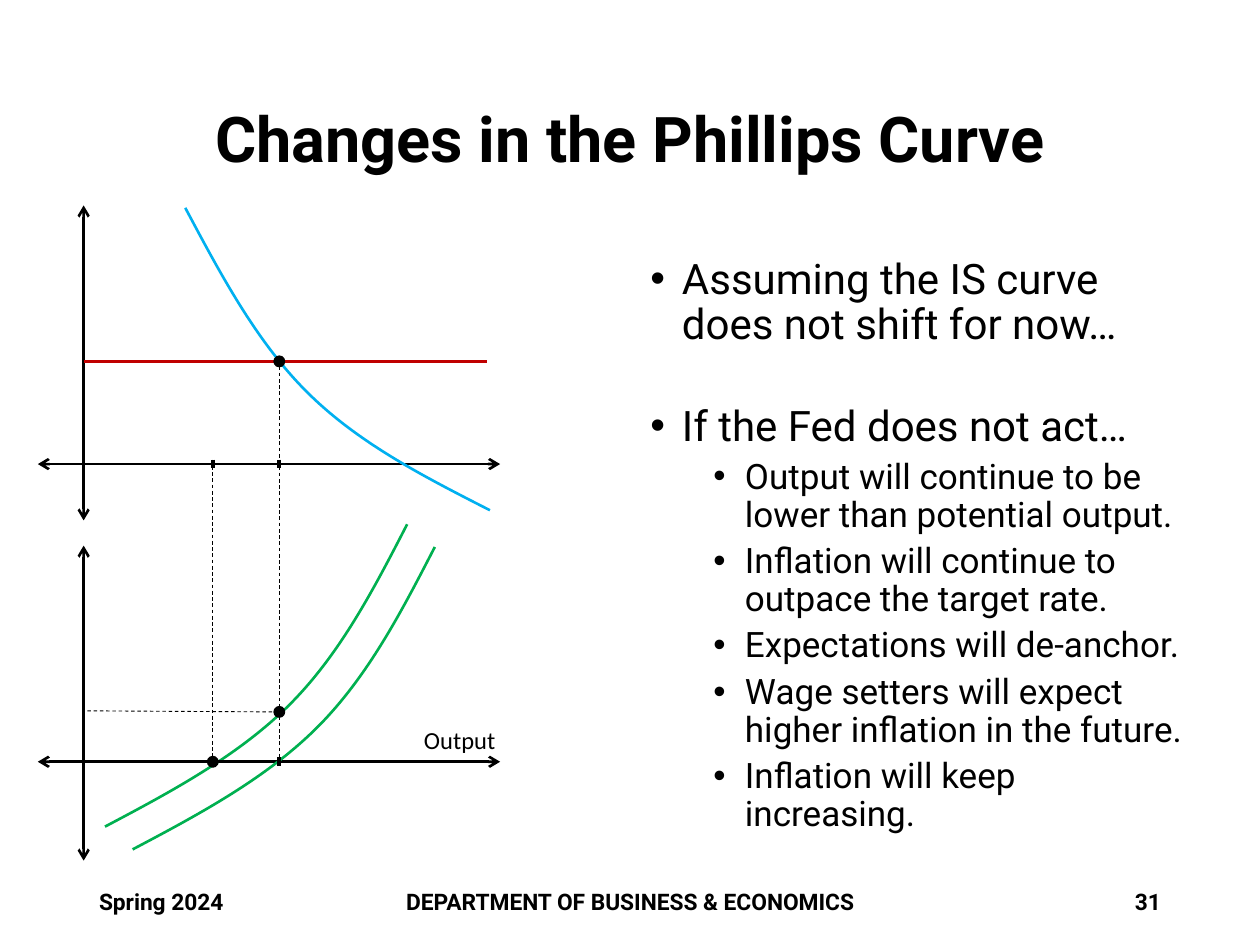
import pptx
import pptx.dml.color
import pptx.enum.dml
import pptx.enum.shapes
import pptx.enum.text
import pptx.oxml.ns
import pptx.util
from lxml import etree

Pt = pptx.util.Pt
RGBColor = pptx.dml.color.RGBColor
Align = pptx.enum.text.PP_ALIGN
Anchor = pptx.enum.text.MSO_ANCHOR
AutoSize = pptx.enum.text.MSO_AUTO_SIZE
Shape = pptx.enum.shapes.MSO_SHAPE
qn = pptx.oxml.ns.qn

BLACK = RGBColor(0x00, 0x00, 0x00)
RED = RGBColor(0xC0, 0x00, 0x00)
BLUE = RGBColor(0x00, 0xB0, 0xF0)
GREEN = RGBColor(0x00, 0xB0, 0x50)

AXIS_X = 47.8
AXIS_LEFT, AXIS_RIGHT = 21.6, 285.8
UPPER_AXIS_Y, LOWER_AXIS_Y = 265.2, 435.3
AXIS_TOPS, AXIS_HEIGHT = (117.4, 311.8), 180
RATE_Y = 206.5
INFLATION_Y = 406.8
LOW_OUTPUT_X, POTENTIAL_OUTPUT_X = 121.6, 159.6
DOT_SIZE = 5.8
TICK_HALF = 2.5

# Each curve is a start point followed by three points per cubic segment.
IS_CURVE = [(105.9, 118.8), (126.5, 157.5), (147, 196), (176.2, 224.8),
            (205.4, 253.6), (242.7, 272.6), (280, 291.6)]
PHILLIPS_CURVE = [(75.8, 485.4), (114.5, 465), (152.5, 444.5), (181.5, 415.5),
                  (210.3, 386.6), (229.5, 349.5), (248.5, 312.6)]
PHILLIPS_SHIFT = (-15.8, -13)

POINTS = [
    (0, 0, "Assuming the IS curve does not shift for now…"),
    (0, 32, "If the Fed does not act…"),
    (1, 5, "Output will continue to be lower than potential output."),
    (1, 5, "Inflation will continue to outpace the target rate."),
    (1, 5, "Expectations will de-anchor."),
    (1, 5, "Wage setters will expect higher inflation in the future."),
    (1, 5, "Inflation will keep increasing."),
]
FOOTERS = [
    ("Spring 2024", 49.5, 162, Align.LEFT),
    ("DEPARTMENT OF BUSINESS & ECONOMICS", 133.2, 453.6, Align.CENTER),
    ("31", 508.5, 162, Align.RIGHT),
]


def set_font(paragraph, size, bold=False, name="Roboto"):
    font = paragraph.font
    font.name, font.size, font.bold = name, Pt(size), bold
    font.color.rgb = BLACK


def place(shape, left, top, width, height):
    shape.left, shape.top = Pt(left), Pt(top)
    shape.width, shape.height = Pt(width), Pt(height)


def fill_title(title):
    place(title, 49.5, 28.8, 621, 104.4)
    frame = title.text_frame
    frame.auto_size = AutoSize.NONE
    frame.vertical_anchor = Anchor.MIDDLE
    paragraph = frame.paragraphs[0]
    paragraph.text = "Changes in the Phillips Curve"
    paragraph.alignment = Align.CENTER
    paragraph.line_spacing = 0.9
    set_font(paragraph, 36, bold=True)


def add_bullet(paragraph, left):
    properties = paragraph._p.get_or_add_pPr()
    properties.set("marL", str(Pt(left)))
    properties.set("indent", str(Pt(-18)))
    etree.SubElement(properties, qn("a:buFont")).set("typeface", "Arial")
    etree.SubElement(properties, qn("a:buChar")).set("char", "•")


def fill_body(body):
    place(body, 364.5, 144, 319.5, 342.7)
    frame = body.text_frame
    frame.auto_size = AutoSize.NONE
    frame.vertical_anchor = Anchor.TOP
    for index, (level, space_before, text) in enumerate(POINTS):
        paragraph = frame.add_paragraph() if index else frame.paragraphs[0]
        paragraph.text = text
        paragraph.level = level
        add_bullet(paragraph, 18 + 36 * level)
        paragraph.line_spacing = 0.9
        paragraph.space_before = Pt(space_before)
        set_font(paragraph, 24 - 4 * level)


def add_footer(slide, text, left, width, alignment):
    footer = slide.shapes.add_textbox(Pt(left), Pt(500.5), Pt(width), Pt(28.8))
    frame = footer.text_frame
    frame.word_wrap = True
    frame.vertical_anchor = Anchor.MIDDLE
    paragraph = frame.paragraphs[0]
    paragraph.text = text
    paragraph.alignment = alignment
    set_font(paragraph, 13, bold=True)


def add_axis_label(slide):
    label = slide.shapes.add_textbox(Pt(235.2), Pt(411), Pt(56), Pt(24.3))
    frame = label.text_frame
    frame.word_wrap = False
    frame.auto_size = AutoSize.SHAPE_TO_FIT_TEXT
    paragraph = frame.paragraphs[0]
    paragraph.text = "Output"
    set_font(paragraph, 14, name="Calibri")


def add_line(slide, start, end, color=BLACK, width=1.5):
    line = slide.shapes.add_connector(
        pptx.enum.shapes.MSO_CONNECTOR.STRAIGHT, *map(Pt, (*start, *end)))
    line.line.color.rgb = color
    line.line.width = Pt(width)
    etree.SubElement(line._element.spPr, qn("a:effectLst"))
    return line


def add_axis(slide, start, end):
    outline = add_line(slide, start, end).line._get_or_add_ln()
    for tag in ("a:headEnd", "a:tailEnd"):
        etree.SubElement(outline, qn(tag)).set("type", "arrow")


def add_guide(slide, start, end):
    guide = add_line(slide, start, end, width=0.5)
    guide.line.dash_style = pptx.enum.dml.MSO_LINE.DASH


def add_tick(slide, x, y):
    add_line(slide, (x, y - TICK_HALF), (x, y + TICK_HALF), width=2.25)


def add_dot(slide, x, y):
    dot = slide.shapes.add_shape(
        Shape.OVAL, Pt(x - DOT_SIZE / 2), Pt(y - DOT_SIZE / 2),
        Pt(DOT_SIZE), Pt(DOT_SIZE))
    dot.shadow.inherit = False
    dot.fill.solid()
    dot.fill.fore_color.rgb = BLACK
    dot.line.color.rgb = BLACK
    dot.line.width = Pt(1)


def bend_segments(freeform):
    """Turn every three straight segments into one cubic Bezier segment."""
    segments = list(freeform._element.iter(qn("a:lnTo")))
    for first in range(0, len(segments), 3):
        start, *others = segments[first:first + 3]
        cubic = etree.Element(qn("a:cubicBezTo"))
        start.addprevious(cubic)
        for segment in (start, *others):
            cubic.append(segment[0])
            segment.getparent().remove(segment)


def add_curve(slide, controls, color, shift=(0, 0)):
    points = [(Pt(x + shift[0]), Pt(y + shift[1])) for x, y in controls]
    builder = slide.shapes.build_freeform(*points[0])
    builder.add_line_segments(points[1:], close=False)
    curve = builder.convert_to_shape()
    bend_segments(curve)
    curve.shadow.inherit = False
    curve.fill.background()
    curve.line.color.rgb = color
    curve.line.width = Pt(1.5)


def draw_diagrams(slide):
    add_curve(slide, PHILLIPS_CURVE, GREEN, PHILLIPS_SHIFT)
    for top, axis_y in zip(AXIS_TOPS, (UPPER_AXIS_Y, LOWER_AXIS_Y)):
        add_axis(slide, (AXIS_X, top), (AXIS_X, top + AXIS_HEIGHT))
        add_axis(slide, (AXIS_LEFT, axis_y), (AXIS_RIGHT, axis_y))
    add_line(slide, (AXIS_X, RATE_Y), (278.3, RATE_Y), RED)
    add_curve(slide, IS_CURVE, BLUE)
    add_curve(slide, PHILLIPS_CURVE, GREEN)

    add_guide(slide, (POTENTIAL_OUTPUT_X, 209.4),
              (POTENTIAL_OUTPUT_X, LOWER_AXIS_Y))
    add_guide(slide, (LOW_OUTPUT_X, 262.7), (LOW_OUTPUT_X, 432.8))
    add_guide(slide, (155.5, INFLATION_Y), (AXIS_X, 406.2))
    for x in (LOW_OUTPUT_X, POTENTIAL_OUTPUT_X):
        for y in (UPPER_AXIS_Y, LOWER_AXIS_Y):
            add_tick(slide, x, y)
    add_dot(slide, POTENTIAL_OUTPUT_X, RATE_Y)
    add_dot(slide, LOW_OUTPUT_X, LOWER_AXIS_Y)
    add_dot(slide, POTENTIAL_OUTPUT_X, INFLATION_Y)
    add_axis_label(slide)


def main():
    presentation = pptx.Presentation()
    presentation.slide_width, presentation.slide_height = Pt(720), Pt(540)
    slide = presentation.slides.add_slide(presentation.slide_layouts[1])
    fill_title(slide.shapes.title)
    fill_body(slide.placeholders[1])
    for footer in FOOTERS:
        add_footer(slide, *footer)
    draw_diagrams(slide)
    presentation.save("out.pptx")


if __name__ == "__main__":
    main()
